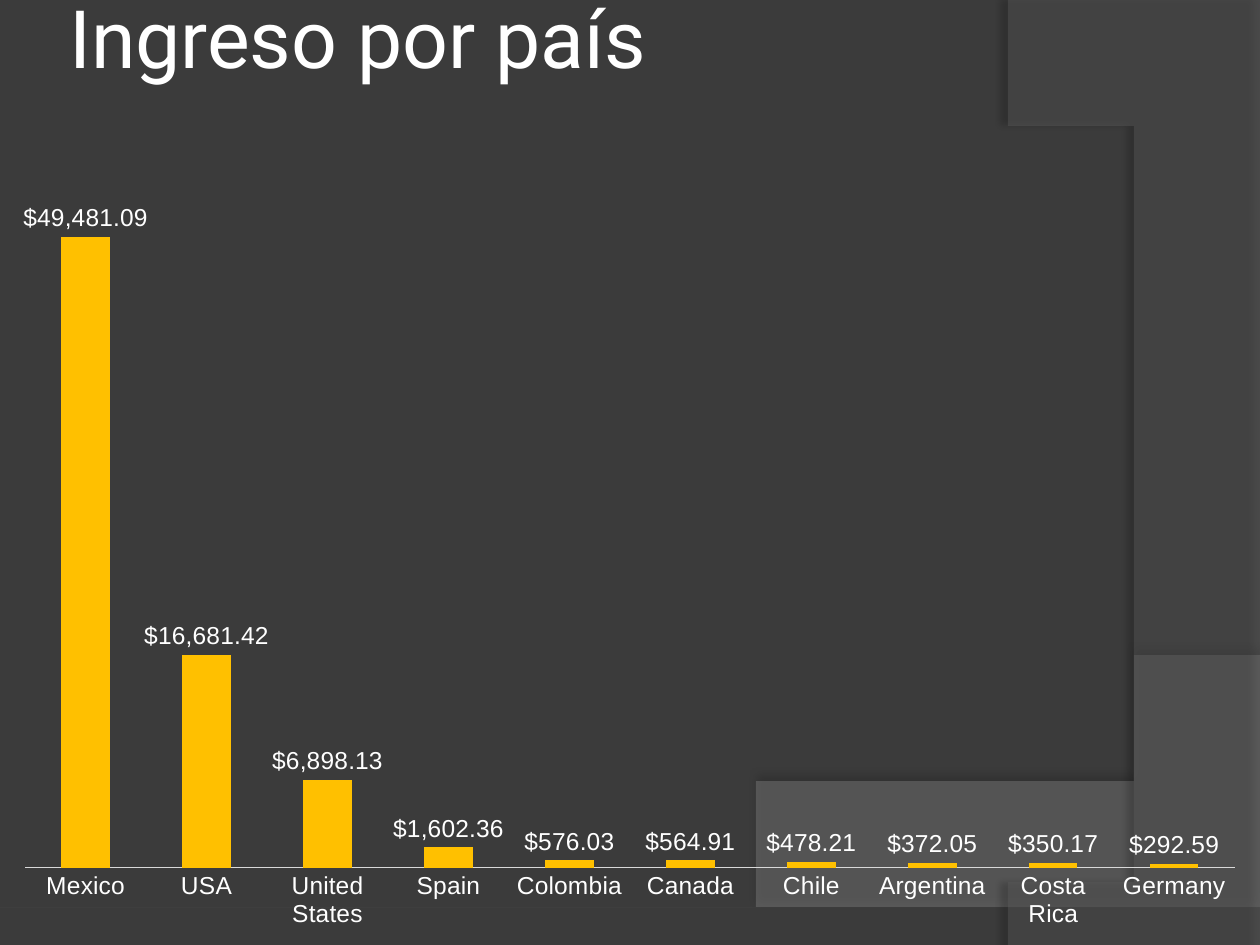
from lxml import etree
from pptx import Presentation
from pptx.chart.data import CategoryChartData
from pptx.dml.color import RGBColor
from pptx.enum.chart import XL_CHART_TYPE, XL_LABEL_POSITION, XL_TICK_MARK
from pptx.enum.text import MSO_ANCHOR, PP_ALIGN
from pptx.oxml.ns import qn
from pptx.util import Inches, Pt

COLUMN_CLUSTERED = XL_CHART_TYPE.COLUMN_CLUSTERED
OUTSIDE_END = XL_LABEL_POSITION.OUTSIDE_END
NO_TICK = XL_TICK_MARK.NONE
MIDDLE = MSO_ANCHOR.MIDDLE
LEFT = PP_ALIGN.LEFT

BACKGROUND = RGBColor(0x3B, 0x3B, 0x3B)
WAVE = RGBColor(0x7F, 0x7F, 0x7F)
ARC = RGBColor(0x5E, 0x5E, 0x5E)
WHITE = RGBColor(0xFF, 0xFF, 0xFF)
AXIS_LINE = RGBColor(0xD9, 0xD9, 0xD9)
GOLD = RGBColor(0xFF, 0xC0, 0x00)

DOLLARS = '"$"#,##0.00'
INCOME = {
    "Mexico": 49481.09,
    "USA": 16681.42,
    "United States": 6898.13,
    "Spain": 1602.36,
    "Colombia": 576.03,
    "Canada": 564.91,
    "Chile": 478.21,
    "Argentina": 372.05,
    "Costa Rica": 350.17,
    "Germany": 292.59,
}


def bezier_points(start, control_1, control_2, end, steps=48):
    """Return points along a cubic curve, without its start."""
    points = []
    for step in range(1, steps + 1):
        t = step / steps
        weights = ((1 - t) ** 3, 3 * t * (1 - t) ** 2, 3 * t ** 2 * (1 - t), t ** 3)
        corners = (start, control_1, control_2, end)
        points.append(tuple(sum(w * corner[axis] for w, corner in zip(weights, corners))
                            for axis in (0, 1)))
    return points


def add_backdrop_shape(slide, box, outline, color, opacity, shadow):
    """Draw a translucent outline, in inches from the box corner, behind the rest."""
    left, top = box
    builder = slide.shapes.build_freeform(*outline[0], scale=Inches(1))
    builder.add_line_segments(outline[1:], close=True)
    shape = builder.convert_to_shape(Inches(left), Inches(top))
    shape.fill.solid()
    shape.fill.fore_color.rgb = color
    shape.line.fill.background()
    color_element = shape.fill._xPr.find(qn("a:solidFill"))[0]
    etree.SubElement(color_element, qn("a:alpha"), val=str(opacity * 1000))

    shadow_opacity, distance, direction = shadow
    effects = etree.SubElement(shape.fill._xPr, qn("a:effectLst"))
    outer = etree.SubElement(effects, qn("a:outerShdw"), blurRad=str(Pt(4)),
                             dist=str(Pt(distance)), dir=str(direction * 60000),
                             algn="ctr", rotWithShape="0")
    shadow_color = etree.SubElement(outer, qn("a:srgbClr"), val="000000")
    etree.SubElement(shadow_color, qn("a:alpha"), val=str(shadow_opacity * 1000))
    return shape


def add_backdrop(slide):
    slide.background.fill.solid()
    slide.background.fill.fore_color.rgb = BACKGROUND
    wave = [(0, 1.85), (0, 2.3), (10, 2.3), (10, 0)]
    wave += bezier_points((10, 0), (5.59, 2.09), (3.91, 1.99), (0, 1.85))
    arc = [(2, 0.02), (2, 7.5), (0.21, 7.5)]
    arc += bezier_points((0.21, 7.5), (1.35, 6.19), (2.18, 3), (0, 0))
    shapes = [
        add_backdrop_shape(slide, (0, 5.2), wave, WAVE, 45, (35, 3.5, 270)),
        add_backdrop_shape(slide, (8, 0), arc, ARC, 40, (45, 4, 180)),
    ]
    tree = slide.shapes._spTree
    for shape in reversed(shapes):
        tree.insert(2, shape._element)


def fill_title(slide, text, left, top, width, height):
    title = slide.shapes.title
    title.left, title.top, title.width, title.height = left, top, width, height
    frame = title.text_frame
    frame.word_wrap = True
    frame.vertical_anchor = MIDDLE
    frame.margin_left = frame.margin_right = Inches(0.05)
    frame.margin_top = frame.margin_bottom = Inches(0.05)
    paragraph = frame.paragraphs[0]
    paragraph.alignment = LEFT
    run = paragraph.add_run()
    run.text = text
    run.font.name = "Roboto"
    run.font.size = Pt(46)
    run.font.color.rgb = WHITE


def format_font(font, size):
    font.name = "Arial"
    font.size = Pt(size)
    font.color.rgb = WHITE


def add_income_chart(slide, left, top, width, height):
    data = CategoryChartData(number_format=DOLLARS)
    data.categories = list(INCOME)
    data.add_series("Series 1", list(INCOME.values()))
    chart = slide.shapes.add_chart(COLUMN_CLUSTERED, left, top, width, height, data).chart
    chart.has_title = False
    chart.has_legend = False
    format_font(chart.font, 10)

    countries = chart.category_axis
    countries.major_tick_mark = countries.minor_tick_mark = NO_TICK
    countries.format.line.color.rgb = AXIS_LINE
    countries.format.line.width = Pt(0.75)
    format_font(countries.tick_labels.font, 14)
    amounts = chart.value_axis
    amounts.visible = False
    amounts.has_major_gridlines = False
    amounts.minimum_scale = 0
    amounts.maximum_scale = 60000
    amounts.tick_labels.number_format = DOLLARS
    amounts.tick_labels.number_format_is_linked = False

    plot = chart.plots[0]
    plot.gap_width = 150
    plot.overlap = -25
    plot.vary_by_categories = False
    series = plot.series[0]
    series.format.fill.solid()
    series.format.fill.fore_color.rgb = GOLD
    labels = series.data_labels
    labels.show_value = True
    labels.position = OUTSIDE_END
    labels.number_format = DOLLARS
    labels.number_format_is_linked = False
    format_font(labels.font, 14)


def main():
    presentation = Presentation()
    presentation.slide_width = Inches(10)
    presentation.slide_height = Inches(7.5)
    title_only = presentation.slide_layouts[5]
    slide = presentation.slides.add_slide(title_only)
    add_backdrop(slide)
    fill_title(slide, "Ingreso por país", Inches(0.5), Inches(-0.34), Inches(9), Inches(1.25))
    add_income_chart(slide, Inches(0), Inches(0.68), Inches(10), Inches(6.82))
    presentation.save("out.pptx")


if __name__ == "__main__":
    main()
